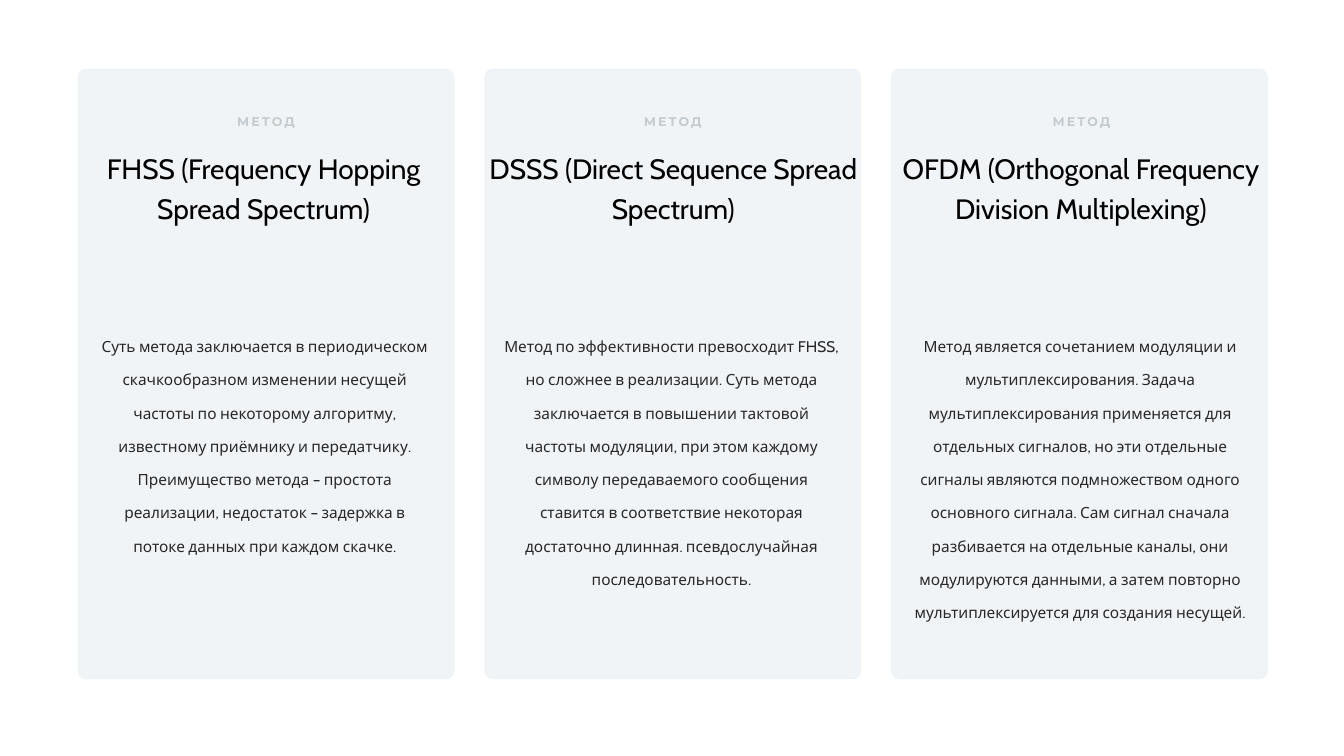
from pptx import Presentation
from pptx.dml.color import RGBColor
from pptx.enum import shapes as sh, text as tx
from pptx.util import Inches, Pt

CARD = RGBColor(0xF0, 0xF4, 0xF7)
BLACK = RGBColor(0, 0, 0)
GREY = RGBColor(0xC3, 0xCB, 0xD0)
DARK = RGBColor(0x29, 0x28, 0x29)
WHITE = RGBColor(255, 255, 255)

LEFT, TOP, WIDE, HIGH = 1.54, 1.36, 7.48, 12.12
PITCH = 8.07

# title, body, then body width and height, and offsets of title and label from the card
CARDS = [
    ("FHSS (Frequency Hopping Spread Spectrum)",
     "Суть метода заключается в периодическом скачкообразном изменении несущей "
     "частоты по некоторому алгоритму, известному приёмнику и передатчику. "
     "Преимущество метода – простота реализации, недостаток – задержка в потоке "
     "данных при каждом скачке.",
     6.85, 4, -0.05, 0.68),
    ("DSSS (Direct Sequence Spread Spectrum)",
     "Метод по эффективности превосходит FHSS, но сложнее в реализации. Суть "
     "метода заключается в повышении тактовой частоты модуляции, при этом каждому "
     "символу передаваемого сообщения ставится в соответствие некоторая "
     "достаточно длинная. псевдослучайная последовательность.",
     6.85, 5.97, 0.01, 0.68),
    ("OFDM (Orthogonal Frequency Division Multiplexing)",
     "Метод является сочетанием модуляции и мультиплексирования. Задача "
     "мультиплексирования применяется для отдельных сигналов, но эти отдельные "
     "сигналы являются подмножеством одного основного сигнала. Сам сигнал сначала "
     "разбивается на отдельные каналы, они модулируются данными, а затем повторно "
     "мультиплексируется для создания несущей.",
     6.93, 6.1, 0.03, 0.72),
]


def put_text(group, words, x, y, w, h, size, color, font="Cabin", bold=False,
             space=None, gap=None, inset=None, anchor=tx.MSO_ANCHOR.TOP):
    """Add centred text; space is line spacing, gap is letter spacing in points."""
    box = group.shapes.add_textbox(Inches(x), Inches(y), Inches(w), Inches(h))
    frame = box.text_frame
    frame.word_wrap = True
    frame.vertical_anchor = anchor
    if inset is not None:
        frame.margin_left = frame.margin_right = Inches(inset)
        frame.margin_top = frame.margin_bottom = Inches(inset)
    para = frame.paragraphs[0]
    para.alignment = tx.PP_ALIGN.CENTER
    if space:
        para.line_spacing = space
    run = para.add_run()
    run.text = words
    run.font.name = font
    run.font.size = Pt(size)
    run.font.bold = bold
    run.font.color.rgb = color
    if gap:
        run.font._element.set("spc", str(gap * 100))


def put_panel(group, x):
    panel = group.shapes.add_shape(
        sh.MSO_SHAPE.ROUNDED_RECTANGLE,
        Inches(x), Inches(TOP), Inches(WIDE), Inches(HIGH))
    panel.adjustments[0] = 0.023
    panel.shadow.inherit = False
    panel.fill.solid()
    panel.fill.fore_color.rgb = CARD
    panel.line.fill.background()


def put_card(slide, x, title, body, wide, high, shift, inner):
    group = slide.shapes.add_group_shape()
    put_panel(group, x)
    put_text(group, title, x + shift, 2.83, WIDE, 2.35, 40, BLACK,
             space=1.2, inset=0.04)
    put_text(group, body, x + 0.29, 6.35, wide, high, 22, DARK, space=1.8)
    put_text(group, "МЕТОД", x + inner, 2, 6.12, 0.83, 18, GREY,
             font="Montserrat", bold=True, gap=3, inset=0.04,
             anchor=tx.MSO_ANCHOR.MIDDLE)


def main():
    deck = Presentation()
    deck.slide_width, deck.slide_height = Inches(26.67), Inches(15)
    slide = deck.slides.add_slide(deck.slide_layouts[6])
    slide.background.fill.solid()
    slide.background.fill.fore_color.rgb = WHITE
    for i, card in enumerate(CARDS):
        put_card(slide, LEFT + i * PITCH, *card)
    deck.save("out.pptx")


if __name__ == "__main__":
    main()
